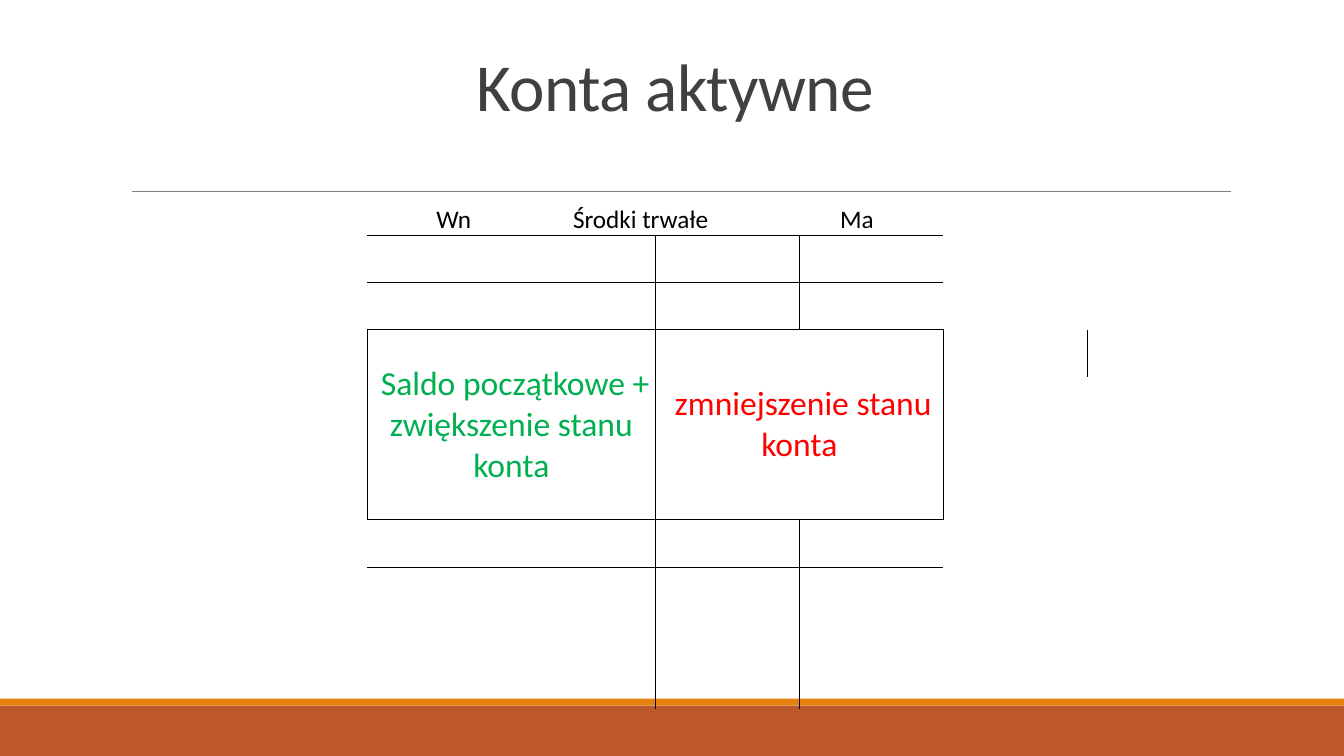
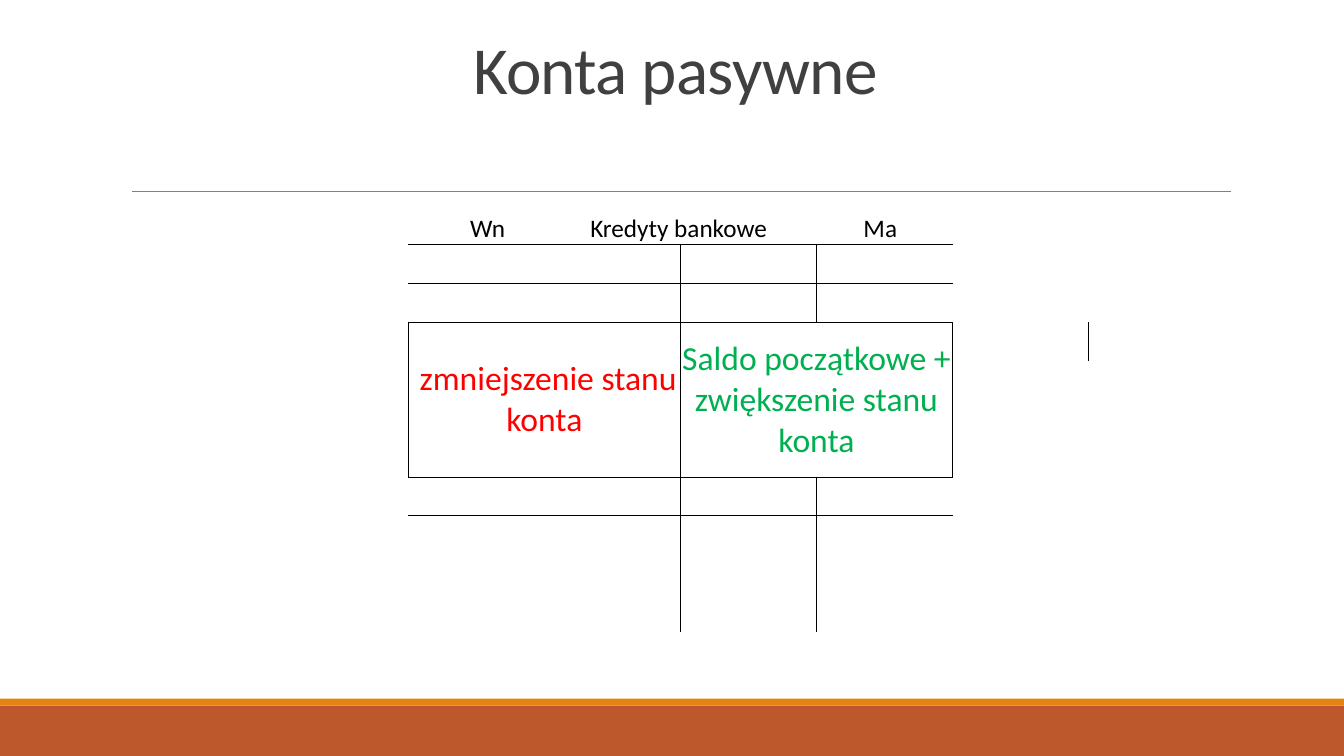
"""Build two slides showing T-accounts for asset and liability accounts."""
from lxml import etree
from pptx import Presentation
from pptx.dml.color import RGBColor
from pptx.enum.shapes import MSO_CONNECTOR, MSO_SHAPE
from pptx.enum.text import MSO_ANCHOR, PP_ALIGN
from pptx.oxml import parse_xml
from pptx.oxml.ns import nsdecls, qn
from pptx.util import Pt

RECTANGLE = MSO_SHAPE.RECTANGLE
STRAIGHT = MSO_CONNECTOR.STRAIGHT
CENTER = PP_ALIGN.CENTER
LEFT = PP_ALIGN.LEFT
BOTTOM = MSO_ANCHOR.BOTTOM
MIDDLE = MSO_ANCHOR.MIDDLE

RUST = RGBColor(0xBD, 0x58, 0x2C)
ORANGE = RGBColor(0xE4, 0x83, 0x12)
GRAY = RGBColor(0x80, 0x80, 0x80)
CHARCOAL = RGBColor(0x40, 0x40, 0x40)
BLACK = RGBColor(0, 0, 0)
GREEN = RGBColor(0, 0xB0, 0x50)
RED = RGBColor(0xFF, 0, 0)

FONT = "Calibri"
NO_STYLE = "{2D5ABB26-0587-4C30-8999-92F81FD0307C}"
BANDS = [(504, 36, RUST), (499, 5, ORANGE)]
COLUMNS = 6
BOX_ROWS = range(4, 8)
STEM_ROWS = range(2, 12)
ACCOUNT_COLUMNS = range(1, 5)

ACCOUNTS = [
    {
        "title": "Konta aktywne", "title_height": 70.5,
        "left": 159.6, "top": 72.7, "column": 102.86,
        "rows": [33.9, 61.2] + [33.9] * 11,
        "header": "\tWn\tŚrodki trwałe\tMa", "tabs": [61, 194.5, 349],
        "sides": [(" Saldo początkowe + zwiększenie stanu konta", GREEN),
                  (" zmniejszenie stanu konta", RED)],
    },
    {
        "title": "Konta pasywne", "title_height": 58.3,
        "left": 194.4, "top": 119.5, "column": 97.2,
        "rows": [27.65] * 14,
        "header": "\tWn\tKredyty bankowe\tMa", "tabs": [56, 192.5, 336.5],
        "sides": [(" zmniejszenie stanu konta", RED),
                  ("Saldo początkowe + zwiększenie stanu konta", GREEN)],
    },
]


def write(frame, text, size, color, align):
    """Fill a text frame with one styled paragraph and return it."""
    para = frame.paragraphs[0]
    para.text = text
    para.alignment = align
    para.font.name = FONT
    para.font.size = Pt(size)
    para.font.color.rgb = color
    return para


def cell_borders(row, column):
    """Return the border tags that a cell of the T-account needs."""
    boxed = row in BOX_ROWS
    stem = row in STEM_ROWS
    inside = column in ACCOUNT_COLUMNS
    origin = row == BOX_ROWS[0] and column in (1, 3)
    edges = {
        "lnL": (stem and column == 3) or (boxed and column in (1, 5)),
        "lnR": (stem and column == 2) or (boxed and column in (0, 4)) or origin,
        "lnT": inside and row in (2, 4, 8),
        "lnB": (inside and row in (1, 3, 7)) or origin,
    }
    return [tag for tag, drawn in edges.items() if drawn]


deck = Presentation()
deck.slide_width = Pt(960)
deck.slide_height = Pt(540)

for account in ACCOUNTS:
    page = deck.slides.add_slide(deck.slide_layouts[6])

    for top, height, color in BANDS:
        band = page.shapes.add_shape(RECTANGLE, 0, Pt(top), Pt(960), Pt(height))
        band.shadow.inherit = False
        band.fill.solid()
        band.fill.fore_color.rgb = color
        band.line.fill.background()

    rule = page.shapes.add_connector(STRAIGHT, Pt(94.3), Pt(136.8), Pt(879), Pt(136.8))
    rule.line.color.rgb = GRAY
    rule.line.width = Pt(0.5)
    etree.SubElement(rule.element.spPr, qn("a:effectLst"))

    title = page.shapes.add_textbox(Pt(86.4), Pt(22.3), Pt(792), Pt(account["title_height"]))
    title.text_frame.word_wrap = True
    title.text_frame.vertical_anchor = BOTTOM
    para = write(title.text_frame, account["title"], 48, CHARCOAL, CENTER)
    para.line_spacing = 0.85
    para.runs[0].font._element.set("spc", "-50")

    rows = account["rows"]
    width = account["column"]
    frame = page.shapes.add_table(len(rows), COLUMNS, Pt(account["left"]), Pt(account["top"]),
                                  Pt(width * COLUMNS), Pt(sum(rows)))
    table = frame.table
    table.first_row = False
    table.horz_banding = False
    table._tbl.tblPr.find(qn("a:tableStyleId")).text = NO_STYLE
    for column in table.columns:
        column.width = Pt(width)
    for row, height in zip(table.rows, rows):
        row.height = Pt(height)

    for row in range(len(rows)):
        for column in range(COLUMNS):
            cell = table.cell(row, column)
            cell.margin_left = cell.margin_right = cell.margin_top = Pt(0.7)
            cell.margin_bottom = 0
            cell.fill.background()
            properties = cell._tc.get_or_add_tcPr()
            for index, tag in enumerate(cell_borders(row, column)):
                properties.insert(index, parse_xml(
                    f'<a:{tag} {nsdecls("a")} w="{Pt(0.5)}"><a:solidFill>'
                    f'<a:srgbClr val="{BLACK}"/></a:solidFill></a:{tag}>'))

    header = table.cell(1, 1)
    header.merge(table.cell(1, 4))
    header.vertical_anchor = BOTTOM
    para = write(header.text_frame, account["header"], 18, BLACK, LEFT)
    stops = etree.Element(qn("a:tabLst"))
    for position in account["tabs"]:
        etree.SubElement(stops, qn("a:tab"), pos=str(Pt(position)), algn="ctr")
    para._p.get_or_add_pPr().insert(0, stops)

    for column, (text, color) in zip((1, 3), account["sides"]):
        side = table.cell(BOX_ROWS[0], column)
        side.merge(table.cell(BOX_ROWS[-1], column + 1))
        side.vertical_anchor = MIDDLE
        write(side.text_frame, text, 24, color, CENTER)

deck.save("out.pptx")
